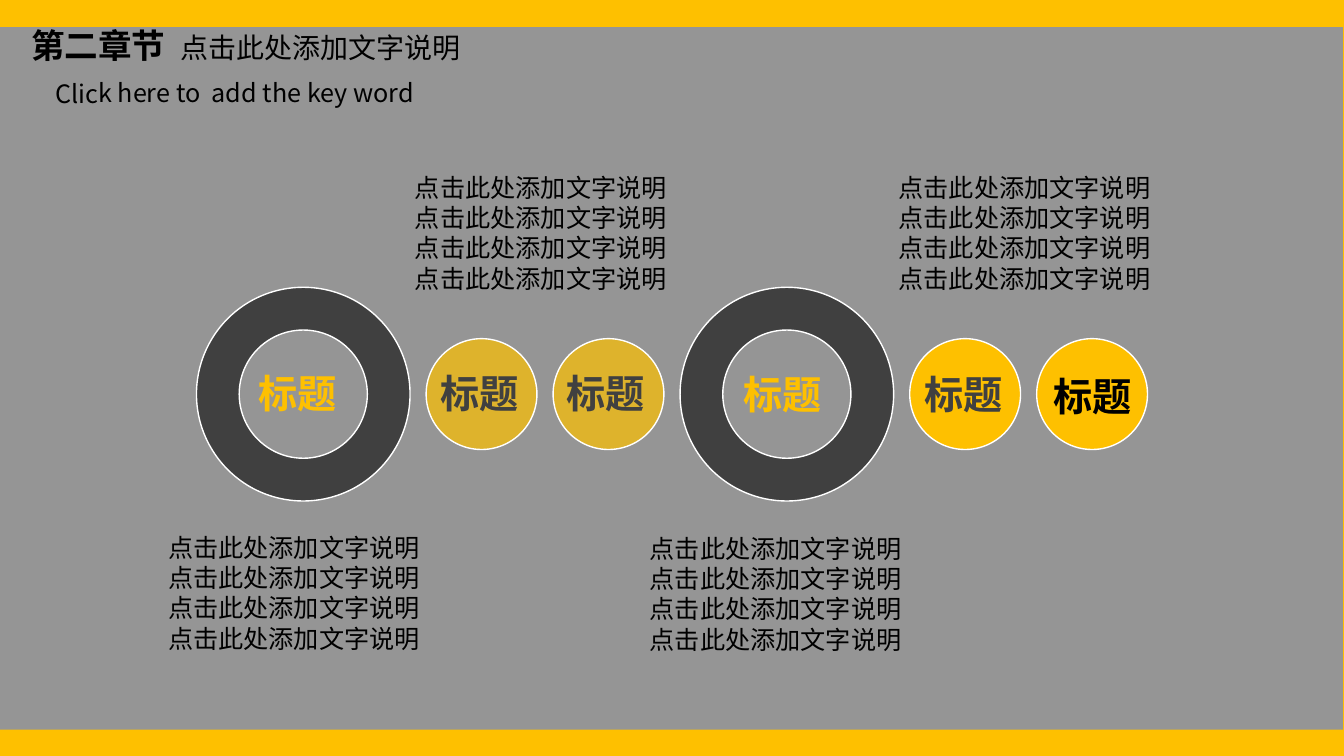
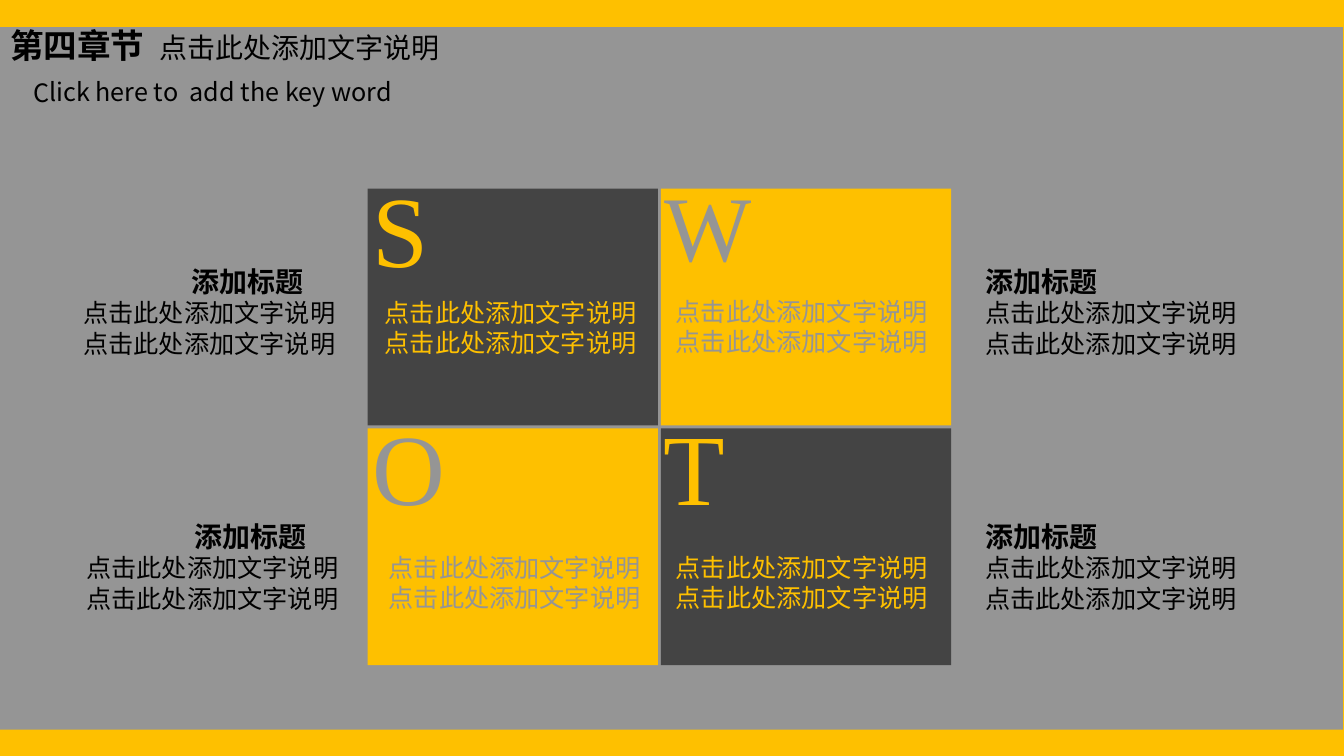
from lxml import etree
from pptx import Presentation
from pptx.dml.color import RGBColor
from pptx.enum.shapes import MSO_SHAPE
from pptx.enum.text import MSO_ANCHOR, MSO_AUTO_SIZE, PP_ALIGN
from pptx.oxml.ns import qn
from pptx.util import Inches, Pt

RECT, OVAL, DONUT = MSO_SHAPE.RECTANGLE, MSO_SHAPE.OVAL, MSO_SHAPE.DONUT
LEFT, TOP = PP_ALIGN.LEFT, MSO_ANCHOR.TOP
GROW = MSO_AUTO_SIZE.SHAPE_TO_FIT_TEXT

SANS, SERIF = "Noto Sans CJK SC", "Times New Roman"
GOLD, GREY, DARK, COAL = "FEC000", "959595", "404040", "444444"
BLACK, WHITE = "000000", "FFFFFF"
NOTE = "点击此处添加文字说明"
LEADING = 1.2

HEAD = {"size": 24, "bold": True}
LEAD = {"size": 20}
BODY = {"size": 18}
LABEL = {"size": 28, "bold": True}
TOPIC = {"size": 20, "bold": True}


def paint(color, hue):
    color.rgb = RGBColor.from_string(hue)


def place(shape, *spot):
    for side, value in zip(("left", "top", "width", "height"), spot):
        setattr(shape, side, Inches(value))


def add_run(para, text, style, hue=BLACK, face=SANS):
    run = para.add_run()
    run.text = text
    look = {"bold": False, "name": face, **style, "size": Pt(style["size"])}
    for key, value in look.items():
        setattr(run.font, key, value)
    paint(run.font.color, hue)
    etree.SubElement(run._r.get_or_add_rPr(), qn("a:ea"), typeface=face)


def set_frame(frame):
    look = {"word_wrap": True, "auto_size": GROW, "vertical_anchor": TOP}
    for key, value in look.items():
        setattr(frame, key, value)


def add_text(slide, spot, lines, hue=BLACK, face=SANS, indent=0):
    box = slide.shapes.add_textbox(*map(Inches, spot))
    frame = box.text_frame
    set_frame(frame)
    for row, (text, style) in enumerate(lines):
        para = frame.add_paragraph() if row else frame.paragraphs[0]
        para.line_spacing = Pt(LEADING * style["size"])
        if indent and not row:
            para._p.get_or_add_pPr().set("marL", str(Inches(indent)))
        add_run(para, text, style, hue, face)
    return box


def add_form(slide, kind, spot, hue, edge=None, alpha=None):
    shape = slide.shapes.add_shape(kind, *map(Inches, spot))
    shape.shadow.inherit = False
    shape.fill.solid()
    paint(shape.fill.fore_color, hue)
    if alpha:
        tint = shape.element.spPr.find(".//" + qn("a:srgbClr"))
        etree.SubElement(tint, qn("a:alpha"), val=str(alpha * 1000))
    if edge:
        paint(shape.line.color, edge)
        shape.line.width = Pt(1)
    else:
        shape.line.fill.background()
    return shape


def add_panel(slide):
    panel = add_form(slide, RECT, (0, 0.27, 13.33, 6.97), GREY)
    slide.slide_layout.shapes.element.insert(2, panel.element)


def add_head(slide, text, left, sub):
    title = slide.shapes.title
    place(title, left, 0.2, 4.51, 0.5)
    set_frame(title.text_frame)
    para = title.text_frame.paragraphs[0]
    para.alignment = LEFT
    para.line_spacing = Pt(LEADING * HEAD["size"])
    tabs = etree.SubElement(para._p.get_or_add_pPr(), qn("a:tabLst"))
    etree.SubElement(tabs, qn("a:tab"), pos=str(Inches(1.48)), algn="l")
    add_run(para, text + "\t", HEAD)
    add_run(para, NOTE, LEAD)
    line = [("Click here to  add the key word", BODY)]
    add_text(slide, (*sub, 4.05, 0.4), line).rotation = 359.9


def draw_chain(slide):
    ring, dot, gap, mid = 2.12, 1.1, 0.16, 3.91
    left = 1.95
    for alpha in (70, None):
        spot = (left, mid - ring / 2, ring, ring)
        add_form(slide, DONUT, spot, DARK, WHITE).adjustments[0] = 0.2
        left += ring + gap
        for _ in range(2):
            spot = (left, mid - dot / 2, dot, dot)
            add_form(slide, OVAL, spot, GOLD, WHITE, alpha)
            left += dot + gap
    labels = ((2.47, 3.62, GOLD), (4.27, 3.62, DARK), (5.52, 3.62, DARK),
              (7.28, 3.63, GOLD), (9.08, 3.63, DARK), (10.36, 3.64, BLACK))
    for x, y, hue in labels:
        add_text(slide, (x, y, 1.05, 0.57), [("标题", LABEL)], hue)
    for x, y in ((1.57, 5.23), (4.02, 1.66), (6.35, 5.24), (8.82, 1.66)):
        add_text(slide, (x, y, 2.93, 1.3), [(NOTE, BODY)] * 4)


def draw_swot(slide):
    wide, high, gap = 2.88, 2.35, 0.03
    cells = (("S", 72, (3.6, 1.6), (3.72, 2.9), COAL, GOLD),
             ("W", 66, (6.5, 1.63), (6.61, 2.89), GOLD, GREY),
             ("O", 72, (3.6, 3.97), (3.76, 5.43), GOLD, GREY),
             ("T", 72, (6.49, 3.97), (6.61, 5.43), COAL, GOLD))
    for i, (mark, size, head, note, fill, hue) in enumerate(cells):
        row, col = divmod(i, 2)
        spot = (3.65 + col * (wide + gap), 1.87 + row * (high + gap), wide, high)
        add_form(slide, RECT, spot, fill)
        add_text(slide, (*head, 1.06, 1.3), [(mark, {"size": size})], hue, SERIF)
        add_text(slide, (*note, 2.83, 0.7), [(NOTE, BODY)] * 2, hue)
    lines = [("添加标题", TOPIC), (NOTE, BODY), (NOTE, BODY)]
    sides = ((0.73, 2.57, 1.07), (0.76, 5.1, 1.07), (9.68, 2.57, 0), (9.68, 5.1, 0))
    for x, y, indent in sides:
        add_text(slide, (x, y, 2.93, 1.04), lines, indent=indent)


def main():
    prs = Presentation()
    prs.slide_width, prs.slide_height = Inches(13.34), Inches(7.5)
    back = prs.slide_master.background.fill
    back.solid()
    paint(back.fore_color, GOLD)
    layout = prs.slide_layouts[5]

    chain = prs.slides.add_slide(layout)
    add_panel(chain)
    add_head(chain, "第二章节", 0.21, (0.45, 0.72))
    draw_chain(chain)

    swot = prs.slides.add_slide(layout)
    add_head(swot, "第四章节", 0, (0.23, 0.71))
    draw_swot(swot)

    prs.save("out.pptx")


if __name__ == "__main__":
    main()
